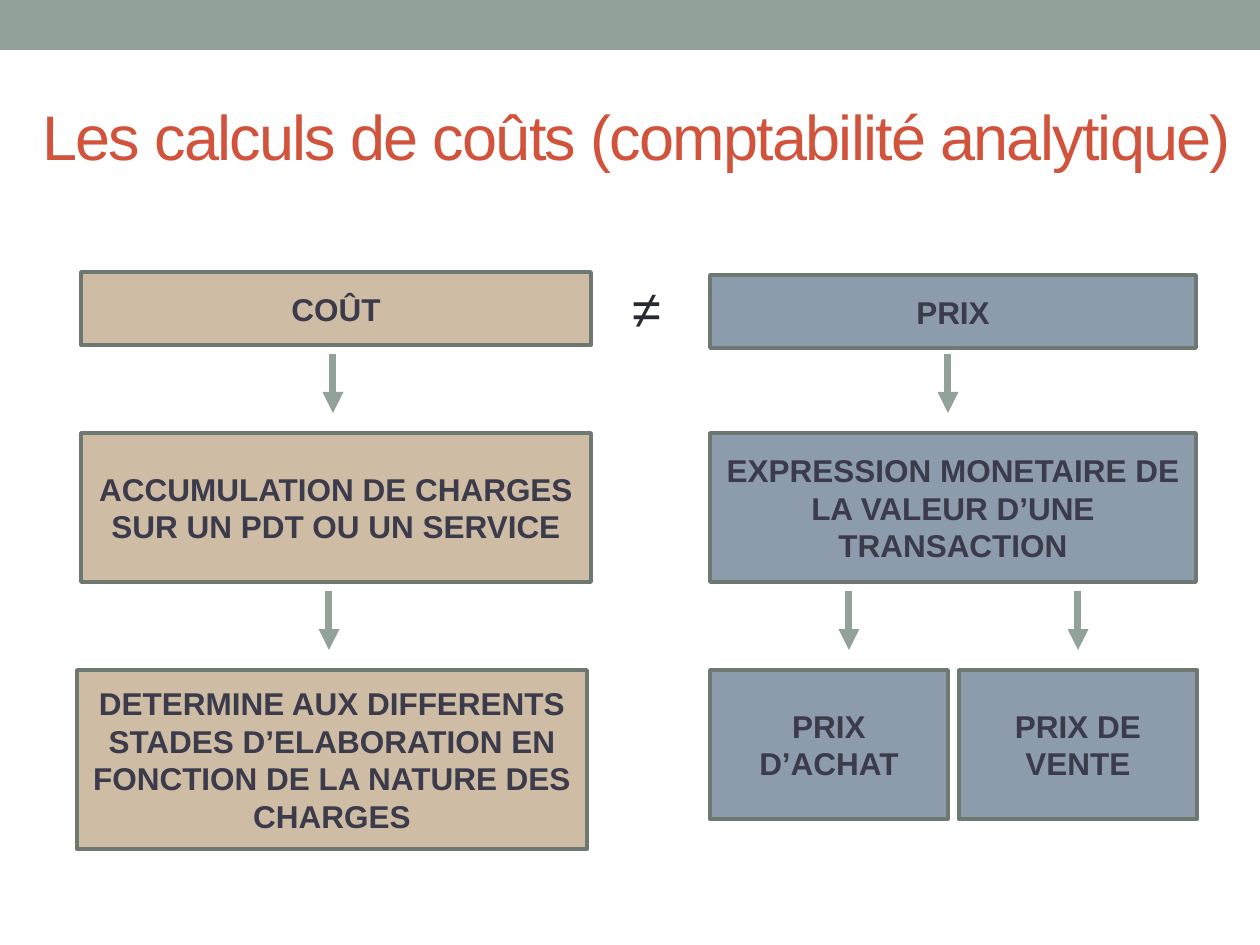
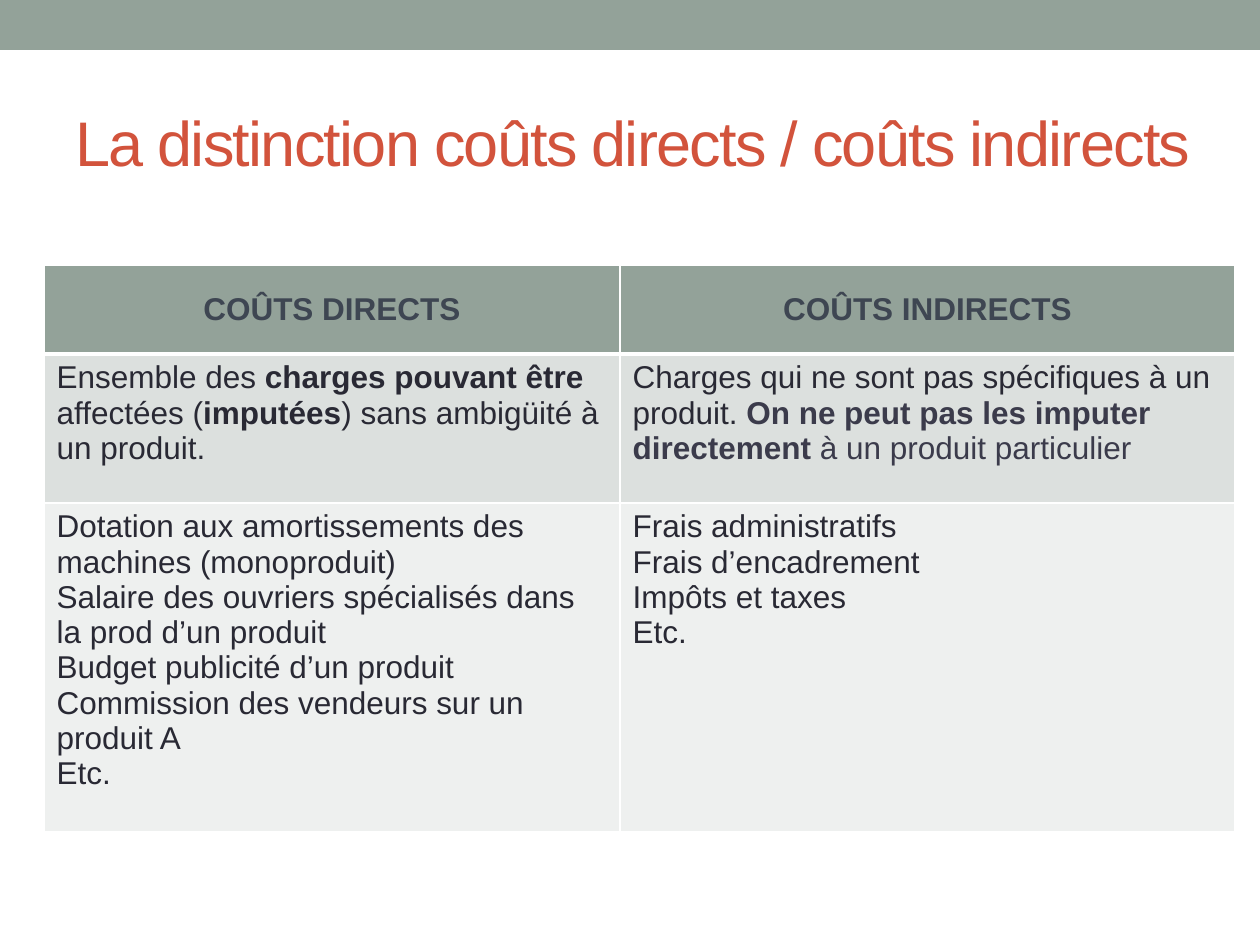
from dataclasses import dataclass
from typing import NamedTuple

from lxml.etree import SubElement
from pptx import Presentation
from pptx.dml.color import RGBColor
from pptx.enum.shapes import MSO_CONNECTOR, MSO_SHAPE
from pptx.enum.text import MSO_ANCHOR, PP_ALIGN
from pptx.oxml.ns import qn
from pptx.util import Pt


@dataclass(frozen=True)
class Theme:
    font: str = "Arial"
    title_size: int = 36
    symbol_size: int = 30
    body_size: int = 18
    title: str = "D2533C"
    band: str = "93A299"
    outline: str = "6D7871"
    cost: str = "CEBCA4"
    price: str = "8C9CAD"
    ink: str = "292934"
    box_ink: str = "3B3B4B"
    header_ink: str = "3E4652"
    definition_row: str = "DCE0DE"
    example_row: str = "EEF0EF"
    rule: str = "FFFFFF"


class Box(NamedTuple):
    left: int
    top: int
    width: int
    height: int


THEME = Theme()
SLIDE = Box(0, 0, 1260, 945)
PX_PER_INCH = 126


def px(length):
    return round(length * 914400 / PX_PER_INCH)


def emu(box):
    return [px(length) for length in box]


def rgb(color):
    return RGBColor.from_string(color)


def style(font, size, color, bold=False):
    font.name, font.size, font.bold = THEME.font, Pt(size), bold
    font.color.rgb = rgb(color)


# Shared parts
def add_panel(slide, box, fill, outline=None):
    panel = slide.shapes.add_shape(MSO_SHAPE.RECTANGLE, *emu(box))
    panel.shadow.inherit = False
    panel.fill.solid()
    panel.fill.fore_color.rgb = rgb(fill)
    if outline:
        panel.line.color.rgb = rgb(outline)
        panel.line.width = Pt(2.08)
    else:
        panel.line.fill.background()
    return panel


def add_label(slide, box, text, size, color, anchor=MSO_ANCHOR.TOP):
    frame = slide.shapes.add_textbox(*emu(box)).text_frame
    frame.word_wrap = True
    frame.vertical_anchor = anchor
    paragraph = frame.paragraphs[0]
    paragraph.text = text
    style(paragraph.font, size, color)
    return paragraph


def add_titled_slide(deck, title, title_box):
    slide = deck.slides.add_slide(deck.slide_layouts[6])
    add_panel(slide, Box(0, 0, SLIDE.width, 50), THEME.band)
    heading = add_label(slide, title_box, title, THEME.title_size, THEME.title,
                        MSO_ANCHOR.MIDDLE)
    heading.runs[0].font._element.set("spc", "-100")
    return slide


# Flow of boxes and arrows
def add_step(slide, box, text, fill):
    frame = add_panel(slide, box, fill, THEME.outline).text_frame
    frame.word_wrap = True
    frame.vertical_anchor = MSO_ANCHOR.MIDDLE
    paragraph = frame.paragraphs[0]
    paragraph.text = text
    paragraph.alignment = PP_ALIGN.CENTER
    style(paragraph.font, THEME.body_size, THEME.box_ink, bold=True)


def add_arrow(slide, x, top):
    arrow = slide.shapes.add_connector(
        MSO_CONNECTOR.STRAIGHT, px(x), px(top), px(x), px(top + 59))
    arrow.line.color.rgb = rgb(THEME.band)
    arrow.line.width = Pt(4)
    SubElement(arrow.line._get_or_add_ln(), qn("a:tailEnd"), type="triangle")
    SubElement(arrow._element.spPr, qn("a:effectLst"))


def add_cost_flow(slide, box):
    left, top, width, _ = box
    add_step(slide, Box(left, top, width, 73), "COÛT", THEME.cost)
    add_arrow(slide, left + 252, top + 82)
    add_step(slide, Box(left, top + 161, width, 149),
             "ACCUMULATION DE CHARGES SUR UN PDT OU UN SERVICE", THEME.cost)
    add_arrow(slide, left + 248, top + 319)
    add_step(slide, Box(left - 4, top + 398, width, box.height - 398),
             "DETERMINE AUX DIFFERENTS STADES D’ELABORATION EN FONCTION "
             "DE LA NATURE DES CHARGES", THEME.cost)


def add_price_flow(slide, box):
    left, top, width, _ = box
    add_step(slide, Box(left, top + 3, width, 73), "PRIX", THEME.price)
    add_arrow(slide, left + 238, top + 82)
    add_step(slide, Box(left, top + 161, width, 149),
             "EXPRESSION MONETAIRE DE LA VALEUR D’UNE TRANSACTION", THEME.price)
    kinds = (("PRIX D’ACHAT", 0, 139), ("PRIX DE VENTE", 249, 368))
    for kind, offset, arrow_offset in kinds:
        add_arrow(slide, left + arrow_offset, top + 319)
        add_step(slide, Box(left + offset, top + 398, 238, box.height - 398),
                 kind, THEME.price)


def build_cost_and_price(deck):
    slide = add_titled_slide(deck, "Les calculs de coûts (comptabilité analytique)",
                             Box(30, 67, 1230, 136))
    add_cost_flow(slide, Box(81, 272, 510, 577))
    add_label(slide, Box(620, 270, 59, 77), "≠", THEME.symbol_size, THEME.ink)
    add_price_flow(slide, Box(710, 272, 486, 547))


# Comparison table: each paragraph is a list of (text, bold, colour) runs
def plain(*lines):
    return [[(line, False, THEME.ink)] for line in lines]


DIRECT_DEFINITION = [[
    ("Ensemble des ", False, THEME.ink),
    ("charges pouvant être", True, THEME.ink),
    (" affectées (", False, THEME.ink),
    ("imputées", True, THEME.ink),
    (") sans ambigüité à un produit.", False, THEME.ink),
]]
INDIRECT_DEFINITION = [[
    ("Charges qui ne sont pas spécifiques à un produit. ", False, THEME.ink),
    ("On ne peut pas les imputer directement ", True, THEME.box_ink),
    ("à un produit particulier", False, THEME.box_ink),
]]
DIRECT_EXAMPLES = plain(
    "Dotation aux amortissements des machines (monoproduit)",
    "Salaire des ouvriers spécialisés dans la prod d’un produit",
    "Budget publicité d’un produit",
    "Commission des vendeurs sur un produit A",
    "Etc.")
INDIRECT_EXAMPLES = plain(
    "Frais administratifs", "Frais d’encadrement", "Impôts et taxes", "Etc.")
HEADERS = [[[(name, True, THEME.header_ink)]]
           for name in ("COÛTS DIRECTS", "COÛTS INDIRECTS")]


def rule_cell(cell, top_width, bottom_width):
    properties = cell._tc.get_or_add_tcPr()
    widths = {"L": 1, "R": 1, "T": top_width, "B": bottom_width}
    for side, width in widths.items():
        line = SubElement(properties, qn(f"a:ln{side}"), w=str(Pt(width)))
        fill = SubElement(line, qn("a:solidFill"))
        SubElement(fill, qn("a:srgbClr"), val=THEME.rule)


def fill_cell(cell, paragraphs, color):
    cell.fill.solid()
    cell.fill.fore_color.rgb = rgb(color)
    frame = cell.text_frame
    for index, runs in enumerate(paragraphs):
        paragraph = frame.add_paragraph() if index else frame.paragraphs[0]
        for text, bold, ink in runs:
            run = paragraph.add_run()
            run.text = text
            style(run.font, THEME.body_size, ink, bold)


def add_comparison(slide, box):
    rows = (
        (89, THEME.band, HEADERS),
        (149, THEME.definition_row, (DIRECT_DEFINITION, INDIRECT_DEFINITION)),
        (box.height - 238, THEME.example_row, (DIRECT_EXAMPLES, INDIRECT_EXAMPLES)),
    )
    table = slide.shapes.add_table(len(rows), 2, *emu(box)).table
    for column, width in zip(table.columns, (576, box.width - 576)):
        column.width = px(width)
    for index, (height, color, contents) in enumerate(rows):
        table.rows[index].height = px(height)
        for cell, paragraphs in zip(table.rows[index].cells, contents):
            rule_cell(cell, 3 if index == 1 else 1, 3 if index == 0 else 1)
            fill_cell(cell, paragraphs, color)
    for cell in table.rows[0].cells:
        cell.vertical_anchor = MSO_ANCHOR.MIDDLE
        cell.text_frame.paragraphs[0].alignment = PP_ALIGN.CENTER


def build_direct_and_indirect(deck):
    slide = add_titled_slide(deck, "La distinction coûts directs / coûts indirects",
                             Box(63, 73, 1172, 136))
    add_comparison(slide, Box(44, 265, 1191, 567))


def main():
    deck = Presentation()
    deck.slide_width, deck.slide_height = px(SLIDE.width), px(SLIDE.height)
    build_cost_and_price(deck)
    build_direct_and_indirect(deck)
    deck.save("out.pptx")


if __name__ == "__main__":
    main()
